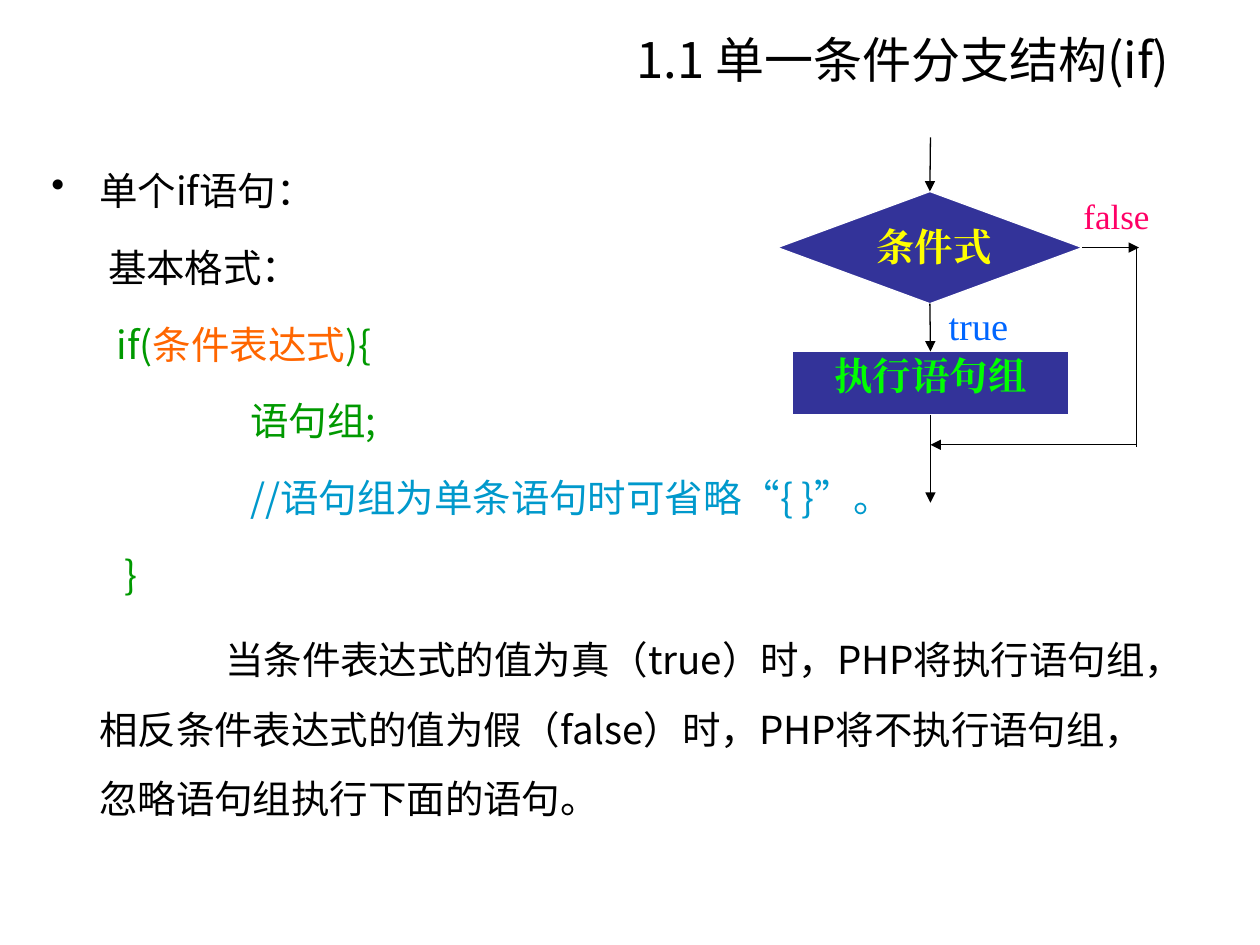
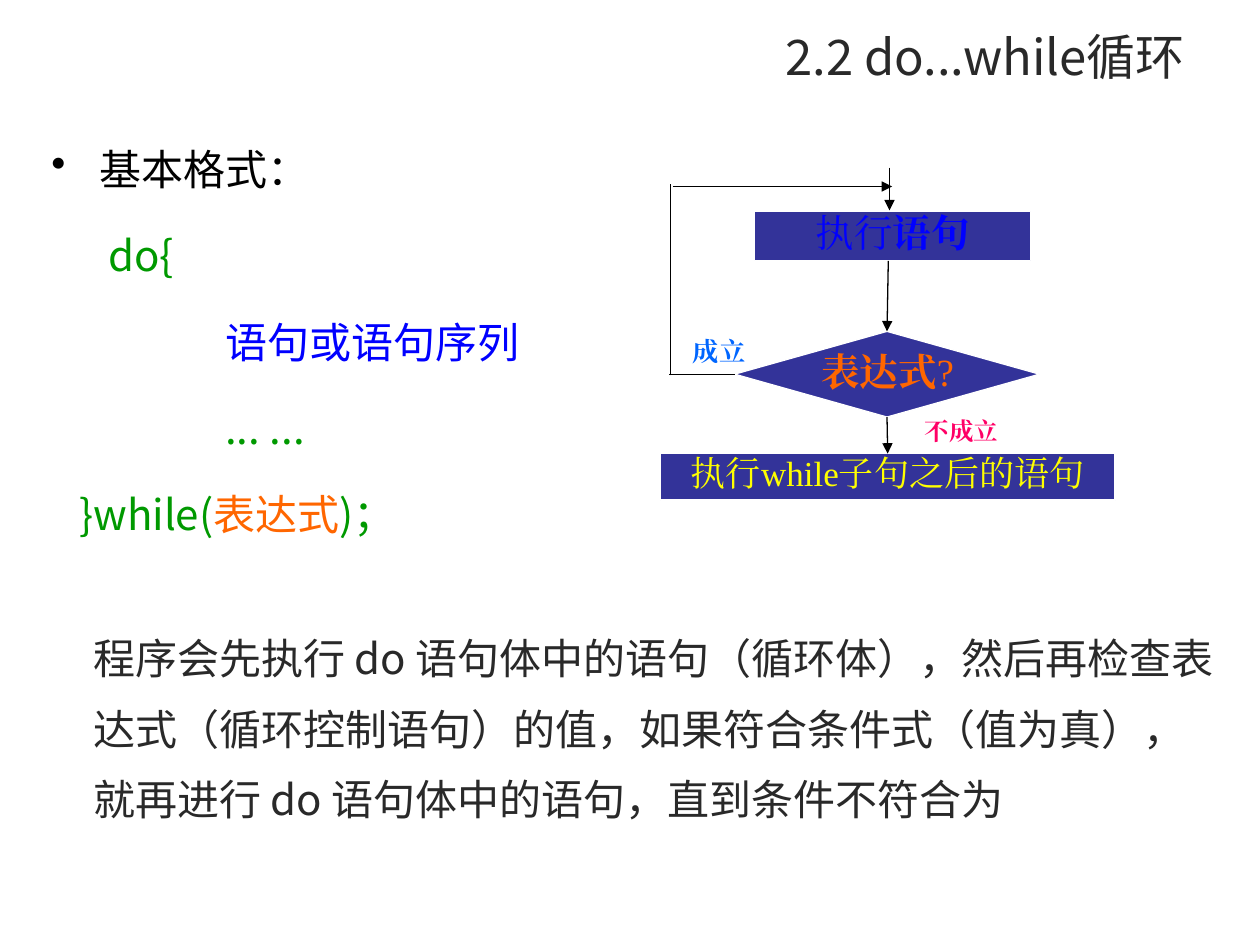
from dataclasses import dataclass

from lxml.etree import SubElement
from pptx import Presentation
from pptx.dml.color import RGBColor
from pptx.enum.shapes import MSO_CONNECTOR, MSO_SHAPE
from pptx.enum.text import MSO_ANCHOR, PP_ALIGN
from pptx.oxml.ns import qn
from pptx.util import Inches, Pt

UNIT = 0.1  # inches per grid column and row
COLUMNS, ROWS = 100, 75
TOP, LEFT, BOTTOM, RIGHT = range(4)


@dataclass(frozen=True)
class Theme:
    sans: str = "Noto Sans CJK SC"
    serif: str = "Times New Roman"
    black: str = "000000"
    charcoal: str = "292929"
    white: str = "FFFFFF"
    node: str = "333399"
    code: str = "009900"
    expression: str = "FF6600"
    comment: str = "0099CC"
    statement: str = "0000FF"
    yes: str = "0066FF"
    no: str = "FF0066"
    yellow: str = "FFFF00"
    lime: str = "00FF00"
    title_size: int = 28
    large: int = 24
    normal: int = 22
    small: int = 20
    yes_size: int = 15
    no_size: int = 14
    line: float = 0.75
    gap: float = 9
    tight_gap: float = 4.4
    hang: float = 0.38
    tab: float = 1.38


THEME = Theme()


def grid(units):
    return Inches(units * UNIT)


@dataclass(frozen=True)
class Box:
    """An area in grid columns and rows."""
    x: float
    y: float
    w: float
    h: float

    def inner(self, x, y, w, h):
        return Box(self.x + x, self.y + y, w, h)

    def point(self, x, y):
        return grid(self.x + x), grid(self.y + y)

    def emu(self):
        return [grid(v) for v in (self.x, self.y, self.w, self.h)]


BODY = Box(3.1, 10.9, 90.6, 57.8)


def write(frame, text, new=True, align=PP_ALIGN.LEFT, spacing=None, before=0,
          margin=0, indent=0, bullet=None, font=THEME.sans, size=THEME.normal,
          color=THEME.black, bold=False):
    """Write a paragraph; text is a string or a list of (text, run overrides)."""
    paragraph = frame.add_paragraph() if new else frame.paragraphs[0]
    paragraph.alignment = align
    paragraph.space_before = Pt(before)
    if spacing:
        paragraph.line_spacing = spacing
    properties = paragraph._p.get_or_add_pPr()
    properties.set("marL", str(Inches(margin)))
    properties.set("indent", str(Inches(indent)))
    if bullet:
        SubElement(properties, qn("a:buChar"), char=bullet)
    else:
        SubElement(properties, qn("a:buNone"))
    for words, changes in [(text, {})] if isinstance(text, str) else text:
        look = {"size": size, "color": color, "bold": bold} | changes
        run = paragraph.add_run()
        run.text = words
        run.font.name = font
        run.font.size = Pt(look["size"])
        run.font.bold = look["bold"]
        run.font.color.rgb = RGBColor.from_string(look["color"])
        SubElement(run._r.get_or_add_rPr(), qn("a:ea"), typeface=font)


def add_text_area(slide, box, paragraphs, anchor=MSO_ANCHOR.TOP, inset=None):
    """Add a text box from a list of (text, format) paragraphs."""
    frame = slide.shapes.add_textbox(*box.emu()).text_frame
    frame.word_wrap = True
    frame.vertical_anchor = anchor
    if inset is not None:
        frame.margin_left = frame.margin_right = inset
        frame.margin_top = frame.margin_bottom = inset
    for index, (text, style) in enumerate(paragraphs):
        write(frame, text, new=index > 0, **style)


def add_title(slide, box, text, color):
    style = dict(align=PP_ALIGN.RIGHT, size=THEME.title_size, color=color)
    add_text_area(slide, box, [(text, style)], anchor=MSO_ANCHOR.MIDDLE)


def add_label(slide, box, text, **style):
    add_text_area(slide, box, [(text, dict(font=THEME.serif) | style)])


def add_node(slide, box, kind, text=None, **style):
    node = slide.shapes.add_shape(kind, *box.emu())
    node.shadow.inherit = False
    node.fill.solid()
    node.fill.fore_color.rgb = RGBColor.from_string(THEME.node)
    node.line.color.rgb = RGBColor.from_string(THEME.white)
    node.line.width = Pt(THEME.line)
    if text:
        frame = node.text_frame
        frame.word_wrap = True
        frame.vertical_anchor = MSO_ANCHOR.TOP
        write(frame, text, new=False, align=PP_ALIGN.CENTER,
              font=THEME.serif, **style)
    return node


def add_flow(slide, box, start, end, arrow=True):
    """Join two ends, each a point in the box or a (node, side) pair."""
    joined = [not isinstance(tip[0], (int, float)) for tip in (start, end)]
    points = [(0, 0) if is_joined else box.point(*tip)
              for tip, is_joined in zip((start, end), joined)]
    flow = slide.shapes.add_connector(MSO_CONNECTOR.STRAIGHT,
                                      *points[0], *points[1])
    if joined[0]:
        flow.begin_connect(*start)
    if joined[1]:
        flow.end_connect(*end)
    flow.line.color.rgb = RGBColor.from_string(THEME.black)
    flow.line.width = Pt(THEME.line)
    if arrow:
        SubElement(flow.line._get_or_add_ln(), qn("a:tailEnd"), type="triangle")
    SubElement(flow._element.spPr, qn("a:effectLst"))


def draw_if_flow(slide, box):
    condition = add_node(slide, box.inner(0, 4.3, 24.2, 8.9), MSO_SHAPE.DIAMOND)
    add_label(slide, box.inner(6.8, 6.3, 11.3, 4.5), "条件式",
              align=PP_ALIGN.CENTER, color=THEME.yellow, bold=True)
    statements = add_node(slide, box.inner(1.2, 17, 21.9, 5), MSO_SHAPE.RECTANGLE,
                          "执行语句组", spacing=0.9, color=THEME.lime, bold=True)
    center, bypass, merge = 12.15, 28.5, 24.4
    add_flow(slide, box, (center, 0), (condition, TOP))
    add_flow(slide, box, (condition, BOTTOM), (statements, TOP))
    add_flow(slide, box, (condition, RIGHT), (bypass + 0.2, 8.75))
    add_flow(slide, box, (bypass, 8.75), (bypass, merge + 0.2), arrow=False)
    add_flow(slide, box, (statements, BOTTOM), (center, box.h))
    add_flow(slide, box, (bypass, merge), (center, merge))
    add_label(slide, box.inner(12.6, 13.3, 7.9, 3.8), "true",
              spacing=0.8, color=THEME.yes)
    add_label(slide, box.inner(23.3, 4.7, 7.9, 3.6), "false",
              spacing=0.8, size=THEME.small, color=THEME.no)


def draw_do_while_flow(slide, box):
    test = add_node(slide, box.inner(5.9, 13, 24.2, 6.8), MSO_SHAPE.DIAMOND)
    add_label(slide, box.inner(11, 13.8, 14.1, 4.6),
              [("表达式", {"bold": True}), ("?", {})],
              align=PP_ALIGN.CENTER, color=THEME.expression)
    add_node(slide, box.inner(7.5, 3.5, 21.9, 3.9), MSO_SHAPE.RECTANGLE,
             [("执行", {}), ("语句", {"bold": True})],
             spacing=0.8, color=THEME.statement)
    after = add_node(slide, box.inner(0, 22.7, box.w, 3.7), MSO_SHAPE.RECTANGLE,
                     "执行while子句之后的语句", spacing=0.8,
                     size=THEME.small, color=THEME.yellow)
    entry, back, merge = 18.2, 0.8, 1.5
    add_flow(slide, box, (entry, 0), (entry, 3.4))
    add_flow(slide, box, (18.1, 7.4), (test, TOP))
    add_flow(slide, box, (test, BOTTOM), (after, TOP))
    add_flow(slide, box, (test, LEFT), (back - 0.1, 16.4), arrow=False)
    add_flow(slide, box, (back, 16.5), (back, merge - 0.2), arrow=False)
    add_flow(slide, box, (back + 0.2, merge), (entry + 0.2, merge))
    add_label(slide, box.inner(1.6, 13.3, 7.9, 2.9), "成立", spacing=0.8,
              size=THEME.yes_size, color=THEME.yes, bold=True)
    add_label(slide, box.inner(20, 19.7, 7.9, 2.8), "不成立", spacing=0.8,
              size=THEME.no_size, color=THEME.no, bold=True)


def write_if_body(slide, box):
    base = dict(spacing=1.5, before=THEME.tight_gap)
    code = base | dict(color=THEME.code)
    nested = THEME.tab + 0.2
    add_text_area(slide, box, [
        ("单个if语句：",
         base | dict(margin=THEME.hang, indent=-THEME.hang, bullet="•")),
        ("基本格式：", base | dict(margin=0.45)),
        ([("if(", {}), ("条件表达式", {"color": THEME.expression}), ("){", {})],
         code | dict(margin=0.52)),
        ("语句组;", code | dict(margin=nested)),
        ("//语句组为单条语句时可省略“{ }”。",
         base | dict(margin=nested, color=THEME.comment)),
        ("}", code | dict(margin=0.58)),
        ("当条件表达式的值为真（true）时，PHP将执行语句组，相反条件表达式的值为假"
         "（false）时，PHP将不执行语句组，忽略语句组执行下面的语句。",
         base | dict(before=THEME.gap, margin=THEME.hang,
                     indent=THEME.tab - THEME.hang)),
    ])


def write_do_while_body(slide, box):
    base = dict(before=THEME.gap, size=THEME.large)
    code = base | dict(spacing=1.4, color=THEME.code)
    add_text_area(slide, box, [
        ("基本格式：",
         base | dict(margin=THEME.hang, indent=-THEME.hang, bullet="•")),
        ("do{", code | dict(margin=0.45)),
        ("语句或语句序列",
         code | dict(margin=THEME.tab, color=THEME.statement)),
        ("... ...", code | dict(margin=THEME.tab)),
        ([("}while(", {}), ("表达式", {"color": THEME.expression}), (")；", {})],
         code | dict(margin=0.22)),
    ])


def write_explanation(slide, box):
    add_text_area(slide, box, [(
        "程序会先执行 do 语句体中的语句（循环体），然后再检查表达式（循环控制语句）的值，"
        "如果符合条件式（值为真），就再进行 do 语句体中的语句，直到条件不符合为",
        dict(spacing=1.4, before=THEME.gap, margin=THEME.hang,
             size=THEME.large, color=THEME.charcoal))], inset=0)


def build_if_slide(slide):
    add_title(slide, Box(22.7, 1.6, 71.1, 6.2), "1.1 单一条件分支结构(if)",
              THEME.black)
    write_if_body(slide, BODY)
    draw_if_flow(slide, Box(61.7, 10.9, 31.2, 29))


def build_do_while_slide(slide):
    write_do_while_body(slide, BODY)
    draw_do_while_flow(slide, Box(52.4, 13.3, 36.1, 26.4))
    write_explanation(slide, Box(3.6, 48.6, 92.9, 18.8))
    add_title(slide, Box(5, 0.8, 90, 7.2), "2.2 do...while循环", THEME.charcoal)


def main():
    deck = Presentation()
    deck.slide_width, deck.slide_height = grid(COLUMNS), grid(ROWS)
    blank = deck.slide_layouts[6]
    for build in (build_if_slide, build_do_while_slide):
        build(deck.slides.add_slide(blank))
    deck.save("out.pptx")


if __name__ == "__main__":
    main()
